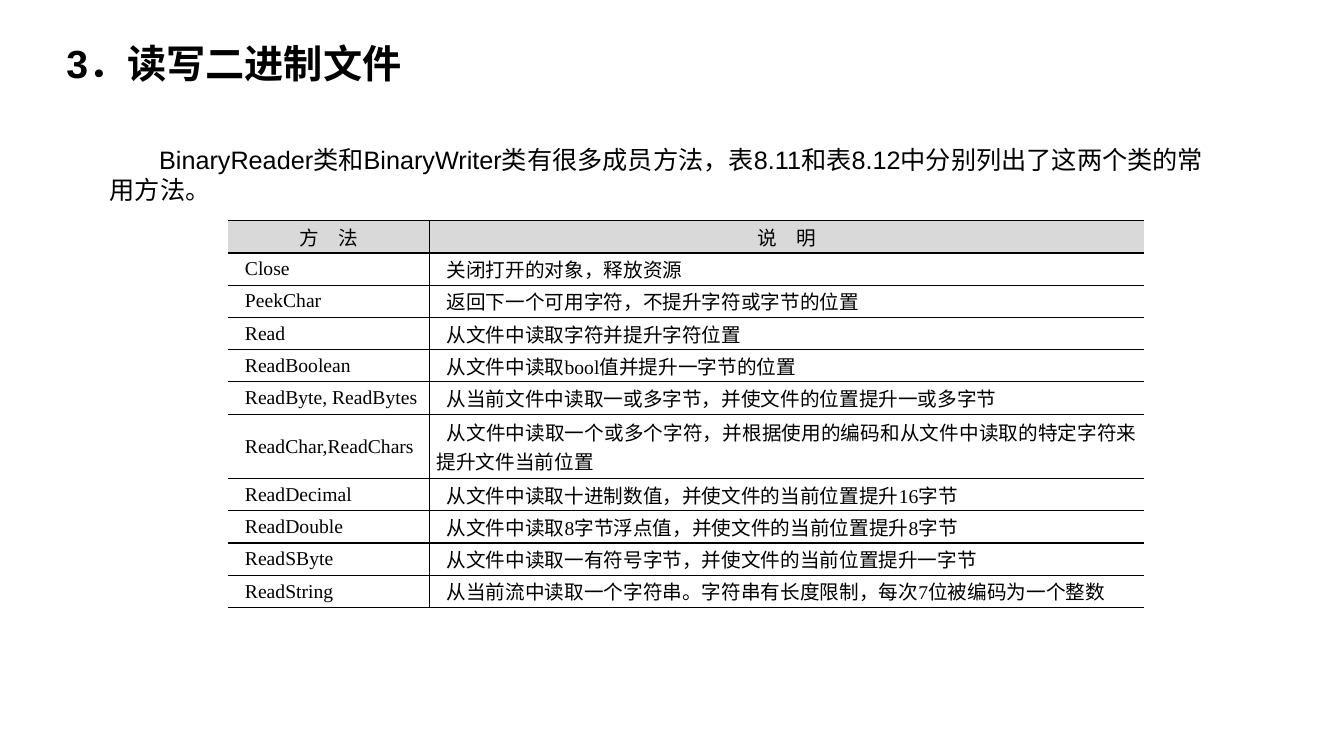
from lxml import etree
from pptx import Presentation
from pptx.dml.color import RGBColor
from pptx.enum.text import MSO_ANCHOR, PP_ALIGN
from pptx.oxml.ns import qn
from pptx.util import Inches, Pt

CENTER, JUSTIFY, LEFT = PP_ALIGN.CENTER, PP_ALIGN.JUSTIFY, PP_ALIGN.LEFT
MIDDLE = MSO_ANCHOR.MIDDLE

BLACK, WHITE, HEADER_GRAY = "000000", "FFFFFF", "D9D9D9"
COLUMN_WIDTHS = (2, 7.09)
ROW_HEIGHT = 0.32
TWO_LINE_METHOD = "ReadChar,ReadChars"

METHODS = [
    ("方　法", "说　明"),
    ("Close", "关闭打开的对象，释放资源"),
    ("PeekChar", "返回下一个可用字符，不提升字符或字节的位置"),
    ("Read", "从文件中读取字符并提升字符位置"),
    ("ReadBoolean", "从文件中读取bool值并提升一字节的位置"),
    ("ReadByte, ReadBytes", "从当前文件中读取一或多字节，并使文件的位置提升一或多字节"),
    (TWO_LINE_METHOD, "从文件中读取一个或多个字符，并根据使用的编码和从文件中读取的特定字符来提升文件当前位置"),
    ("ReadDecimal", "从文件中读取十进制数值，并使文件的当前位置提升16字节"),
    ("ReadDouble", "从文件中读取8字节浮点值，并使文件的当前位置提升8字节"),
    ("ReadSByte", "从文件中读取一有符号字节，并使文件的当前位置提升一字节"),
    ("ReadString", "从当前流中读取一个字符串。字符串有长度限制，每次7位被编码为一个整数"),
]


def color(value):
    return RGBColor.from_string(value)


def write_text(text_frame, text, *, size, font, bold=False, align=LEFT,
               indent=0, line_spacing=None):
    paragraph = text_frame.paragraphs[0]
    paragraph.alignment = align
    paragraph.line_spacing = line_spacing
    if indent:
        paragraph._p.get_or_add_pPr().set("indent", str(Inches(indent)))
    run = paragraph.add_run()
    run.text = text
    run.font.size = Pt(size)
    run.font.name = font
    run.font.bold = bold
    run.font.color.rgb = color(BLACK)


def set_borders(cell, visible_sides):
    """Draw thin black lines on the given sides (of L, R, T, B), none elsewhere."""
    properties = cell._tc.get_or_add_tcPr()
    for position, side in enumerate("LRTB"):
        line = etree.Element(qn(f"a:ln{side}"), w=str(Pt(1)))
        if side in visible_sides:
            fill = etree.SubElement(line, qn("a:solidFill"))
            etree.SubElement(fill, qn("a:srgbClr"), val=BLACK)
        else:
            etree.SubElement(line, qn("a:noFill"))
        properties.insert(position, line)


class SlideBuilder:
    heading_font = "Arial"
    table_font = "Times New Roman"

    def __init__(self, presentation):
        self.slide = presentation.slides.add_slide(presentation.slide_layouts[6])

    def text_box(self, left, top, width, height, text, **text_format):
        box = self.slide.shapes.add_textbox(
            Inches(left), Inches(top), Inches(width), Inches(height))
        box.text_frame.word_wrap = True
        write_text(box.text_frame, text, font=self.heading_font, **text_format)

    def method_table(self, left, top, rows):
        heights = [ROW_HEIGHT * (2 if name == TWO_LINE_METHOD else 1)
                   for name, _ in rows]
        table = self.slide.shapes.add_table(
            len(rows), len(COLUMN_WIDTHS), Inches(left), Inches(top),
            Inches(sum(COLUMN_WIDTHS)), Inches(sum(heights))).table
        table.first_row = False
        table.horz_banding = False
        for column, width in zip(table.columns, COLUMN_WIDTHS):
            column.width = Inches(width)
        for row_index, (row, height) in enumerate(zip(table.rows, heights)):
            row.height = Inches(height)
            for column_index, cell in enumerate(row.cells):
                self.method_cell(cell, rows[row_index][column_index],
                                 is_header=row_index == 0)
                set_borders(cell, "TBL" if column_index else "TBR")

    def method_cell(self, cell, text, is_header):
        cell.vertical_anchor = MIDDLE
        cell.margin_left = cell.margin_right = Inches(0.07)
        cell.margin_top = cell.margin_bottom = 0
        cell.fill.solid()
        cell.fill.fore_color.rgb = color(HEADER_GRAY if is_header else WHITE)
        write_text(cell.text_frame, text, size=14, font=self.table_font,
                   align=CENTER if is_header else JUSTIFY,
                   indent=0 if is_header else 0.1)


def main():
    presentation = Presentation()
    presentation.slide_width = Inches(13.33)
    presentation.slide_height = Inches(7.5)
    builder = SlideBuilder(presentation)
    builder.text_box(0.56, 0.39, 6.99, 0.52, "3．读写二进制文件",
                     size=28, bold=True, line_spacing=0.9)
    builder.text_box(
        0.99, 1.38, 11.24, 0.71,
        "BinaryReader类和BinaryWriter类有很多成员方法，表8.11和表8.12中分别列出了这两个类的常用方法。",
        size=18, indent=0.49)
    builder.method_table(2.26, 2.19, METHODS)
    presentation.save("out.pptx")


if __name__ == "__main__":
    main()
